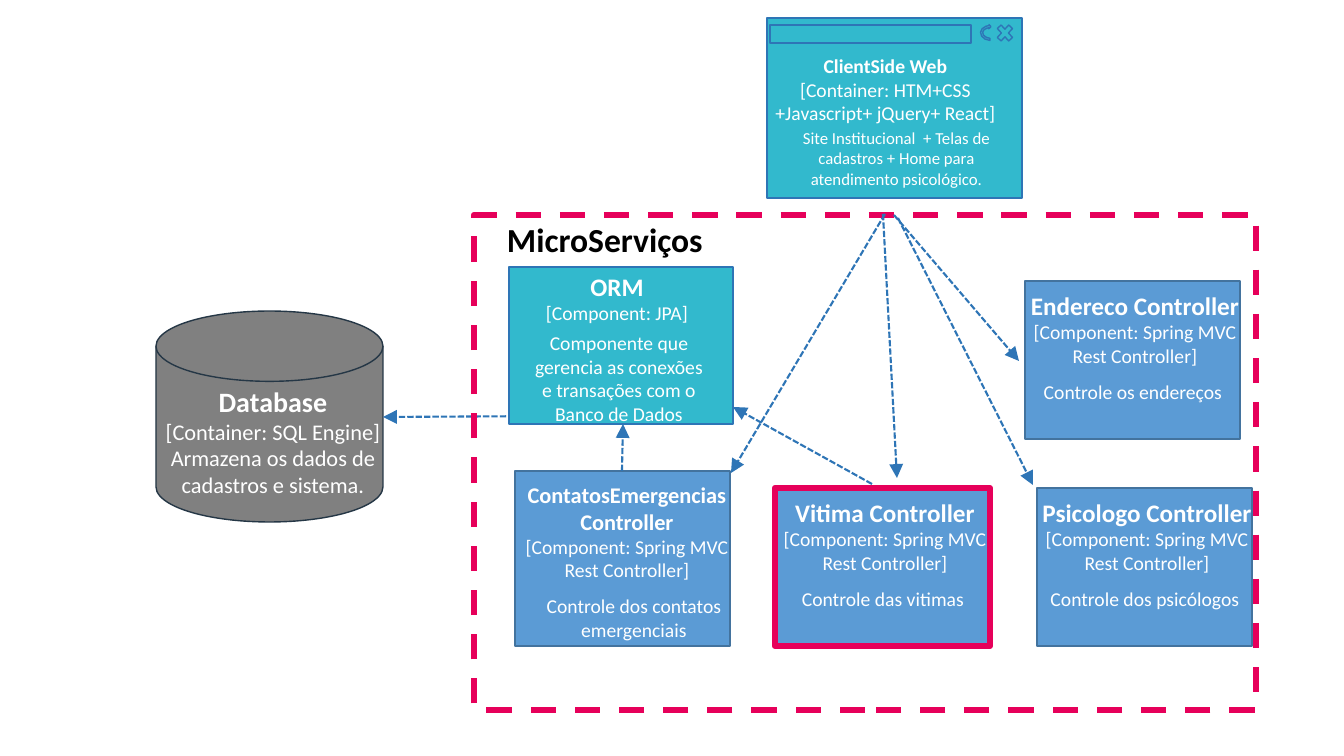
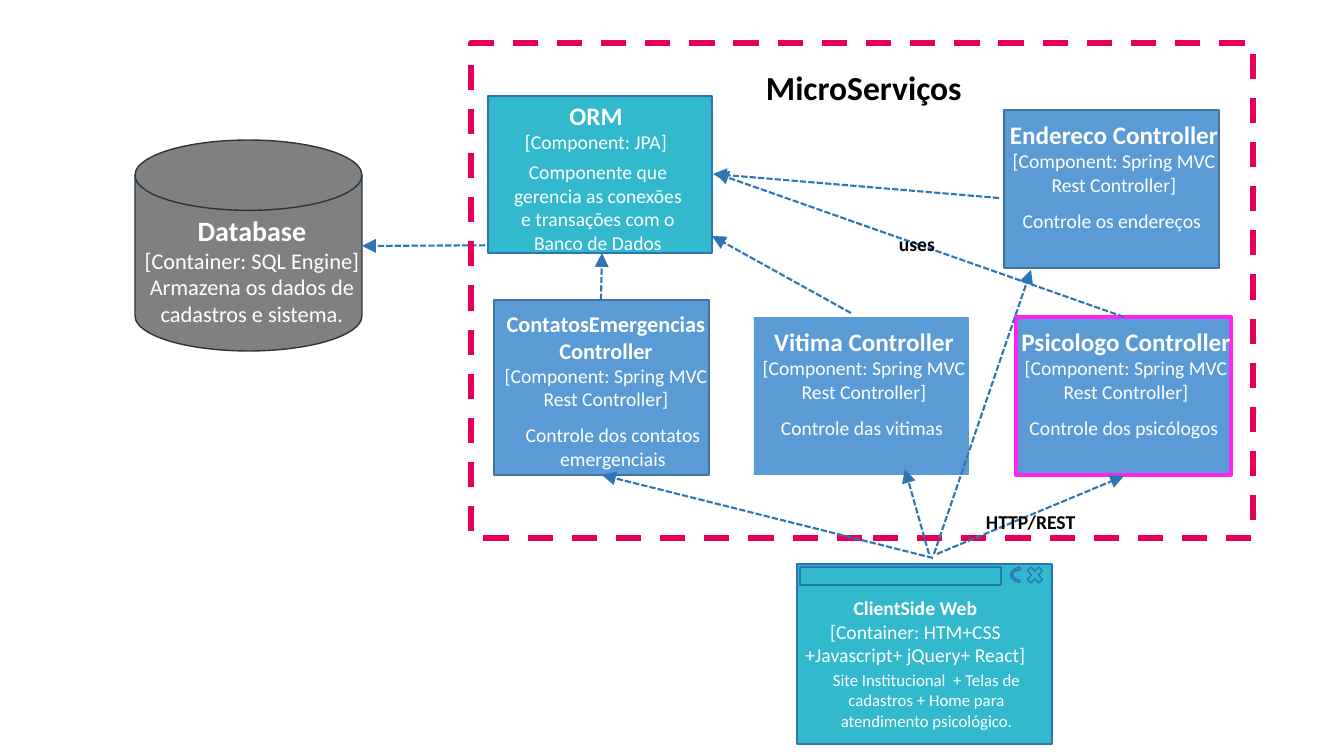
from pptx import Presentation
from pptx.dml.color import RGBColor
from pptx.enum.dml import MSO_LINE
from pptx.enum.shapes import MSO_CONNECTOR, MSO_SHAPE as SHAPE
from pptx.enum.text import MSO_AUTO_SIZE, PP_ALIGN
from pptx.oxml.ns import qn
from pptx.util import Pt
from lxml.etree import SubElement

SCALE = 914400 / 100.8
FONT = "Calibri"
COLORS = {
    "white": "FFFFFF", "black": "000000", "gray": "808080", "navy": "253746",
    "teal": "32B9CD", "blue": "5B9BD5", "edge": "43739E", "arrow": "2E75B6",
    "red": "E6005A", "magenta": "FF25EF",
}
CONTROLLER = "[Component: Spring MVC Rest Controller]"


def px(*values):
    """Turn pixel lengths into EMU."""
    return [round(v * SCALE) for v in values]


def color(name):
    """Look up a named colour."""
    return RGBColor.from_string(COLORS[name])


def add_text(shapes, box, text, size=14, bold=False, fill="white",
             align=PP_ALIGN.CENTER, wrap=True, sub=None, sub_size=14):
    """Add a text box with an optional plain second paragraph."""
    tf = shapes.add_textbox(*px(*box)).text_frame
    tf.word_wrap = wrap
    tf.auto_size = MSO_AUTO_SIZE.SHAPE_TO_FIT_TEXT
    lines = [(text, size, bold)] + ([(sub, sub_size, False)] if sub else [])
    for i, (line, pts, strong) in enumerate(lines):
        p = tf.add_paragraph() if i else tf.paragraphs[0]
        p.alignment = align
        r = p.add_run()
        r.text = line
        r.font.name, r.font.size, r.font.bold = FONT, Pt(pts), strong
        r.font.color.rgb = color(fill)


def add_box(shapes, kind, box, fill=None, line=None, width=1, dash=None):
    """Add a preset shape with its fill and outline."""
    sp = shapes.add_shape(kind, *px(*box))
    sp.shadow.inherit = False
    if fill:
        sp.fill.solid()
        sp.fill.fore_color.rgb = color(fill)
    else:
        sp.fill.background()
    if line:
        sp.line.color.rgb = color(line)
        sp.line.width = Pt(width)
        if dash:
            sp.line.dash_style = dash
    else:
        sp.line.fill.background()
    return sp


def add_arrow(shapes, x1, y1, x2, y2):
    """Add a dashed arrow that points at its second end."""
    c = shapes.add_connector(MSO_CONNECTOR.STRAIGHT, *px(x1, y1, x2, y2))
    c.line.color.rgb = color("arrow")
    c.line.width = Pt(1.5)
    c.line.dash_style = MSO_LINE.SQUARE_DOT
    spPr = c._element.spPr
    SubElement(spPr.find(qn("a:ln")), qn("a:tailEnd"), type="triangle",
               w="lg", len="lg")
    SubElement(spPr, qn("a:effectLst"))


def add_label(shapes, box, text, size=14):
    """Add a bold black label on one line."""
    add_text(shapes, box, text, size=size, bold=True, fill="black",
             align=PP_ALIGN.LEFT, wrap=False)


def add_database(shapes, x, y):
    """Draw the database cylinder and the arrow that reaches it."""
    add_box(shapes, SHAPE.FLOWCHART_MAGNETIC_DISK, (x, y, 227, 211), "gray", "navy")
    add_arrow(shapes, x + 409, y + 105, x + 227, y + 106)
    add_text(shapes, (x - 14, y + 69, 262, 62), "Database", size=20, bold=True,
             sub="[Container: SQL Engine]", sub_size=16)
    add_text(shapes, (x - 14, y + 128, 262, 56),
             "Armazena os dados de cadastros e sistema.", size=16)


def add_frame(shapes, x, y, title_x, title_y):
    """Draw the dashed border of the microservices with its title."""
    add_box(shapes, SHAPE.RECTANGLE, (x, y, 782, 495), line="red", width=4.5,
            dash=MSO_LINE.DASH)
    add_label(shapes, (title_x, title_y, 218, 50), "MicroServiços", size=24)


def add_orm(shapes, x, y):
    """Draw the ORM component."""
    g = shapes.add_group_shape().shapes
    add_box(g, SHAPE.RECTANGLE, (x, y, 224, 157), "teal", "arrow")
    add_text(g, (x + 16, y + 59, 188, 105),
             "Componente que gerencia as conexões e transações com o Banco de Dados")
    add_text(g, (x - 8, y - 1, 232, 65), "ORM", size=18, bold=True,
             sub="[Component: JPA]")


def add_controller(shapes, x, y, name, task, line="edge", width=1, size=18,
                   height=158, name_at=(-6, 4), task_at=(-8, 94)):
    """Draw one REST controller with its task."""
    g = shapes.add_group_shape().shapes
    add_box(g, SHAPE.RECTANGLE, (x, y, 215, height), "blue", line, width)
    add_text(g, (x + name_at[0], y + name_at[1], 232, 89), name, size=size,
             bold=True, sub=CONTROLLER)
    add_text(g, (x + task_at[0], y + task_at[1], 232, 34), task)


def add_client(shapes, x, y, lift=0):
    """Draw the browser window; lift raises its contents."""
    g = shapes.add_group_shape().shapes
    add_box(g, SHAPE.RECTANGLE, (x, y, 255, 180), "teal", "arrow")
    top = y - lift
    add_box(g, SHAPE.RECTANGLE, (x + 3, top + 7, 201, 18), line="arrow")
    add_box(g, SHAPE.MATH_MULTIPLY, (x + 227, top + 3, 22, 24), line="arrow")
    reload = add_box(g, SHAPE.CIRCULAR_ARROW, (x + 215, top + 4, 17, 22), line="arrow")
    reload.rotation = 275
    add_text(g, (x - 14, top + 31, 265, 82), "ClientSide Web", bold=True,
             sub="[Container: HTM+CSS +Javascript+ jQuery+ React]")
    add_text(g, (x - 3, top + 105, 265, 92),
             "Site Institucional  + Telas de cadastros + Home para "
             "atendimento psicológico.", size=12)


def add_diagram(prs, x, y, frame, client, lift, outlines, arrows, labels=()):
    """Build a slide whose components are placed from the database corner."""
    shapes = prs.slides.add_slide(prs.slide_layouts[6]).shapes
    add_database(shapes, x, y)
    add_frame(shapes, *frame)
    add_orm(shapes, x + 353, y - 44)
    controllers = [
        (619, 177, "Vitima Controller", "Controle das vitimas", {}),
        (359, 160, "ContatosEmergencias Controller",
         "Controle dos contatos emergenciais",
         dict(size=16, height=175, name_at=(-4, 5), task_at=(3, 118))),
        (881, 177, "Psicologo Controller", "Controle dos psicólogos", {}),
        (869, -30, "Endereco Controller", "Controle os endereços", {}),
    ]
    for dx, dy, name, task, look in controllers:
        add_controller(shapes, x + dx, y + dy, name, task,
                       **look, **outlines.get(name, {}))
    add_client(shapes, *client, lift=lift)
    add_arrow(shapes, x + 716, y + 173, x + 577, y + 96)
    add_arrow(shapes, x + 466, y + 160, x + 467, y + 113)
    for ends in arrows:
        add_arrow(shapes, *ends)
    for box, text in labels:
        add_label(shapes, box, text)


prs = Presentation()
prs.slide_width, prs.slide_height = px(1344, 756)

add_diagram(
    prs, 156, 311, frame=(474, 215, 497, 214), client=(767, 18), lift=0,
    outlines={"Vitima Controller": dict(line="red", width=4.5)},
    arrows=[(883, 214, 897, 478), (885, 214, 731, 473),
            (894, 215, 1019, 361), (898, 218, 1033, 485)])

add_diagram(
    prs, 135, 140, frame=(471, 43, 756, 62), client=(797, 564), lift=4,
    outlines={"Vitima Controller": dict(line=None),
              "Psicologo Controller": dict(line="magenta", width=3)},
    arrows=[(1124, 317, 715, 173), (929, 554, 905, 469), (937, 554, 1124, 476),
            (933, 558, 602, 475), (999, 198, 713, 174), (934, 554, 1031, 270)],
    labels=[((976, 505, 111, 34), "HTTP/REST"), ((889, 227, 56, 34), "uses")])

prs.save("out.pptx")
